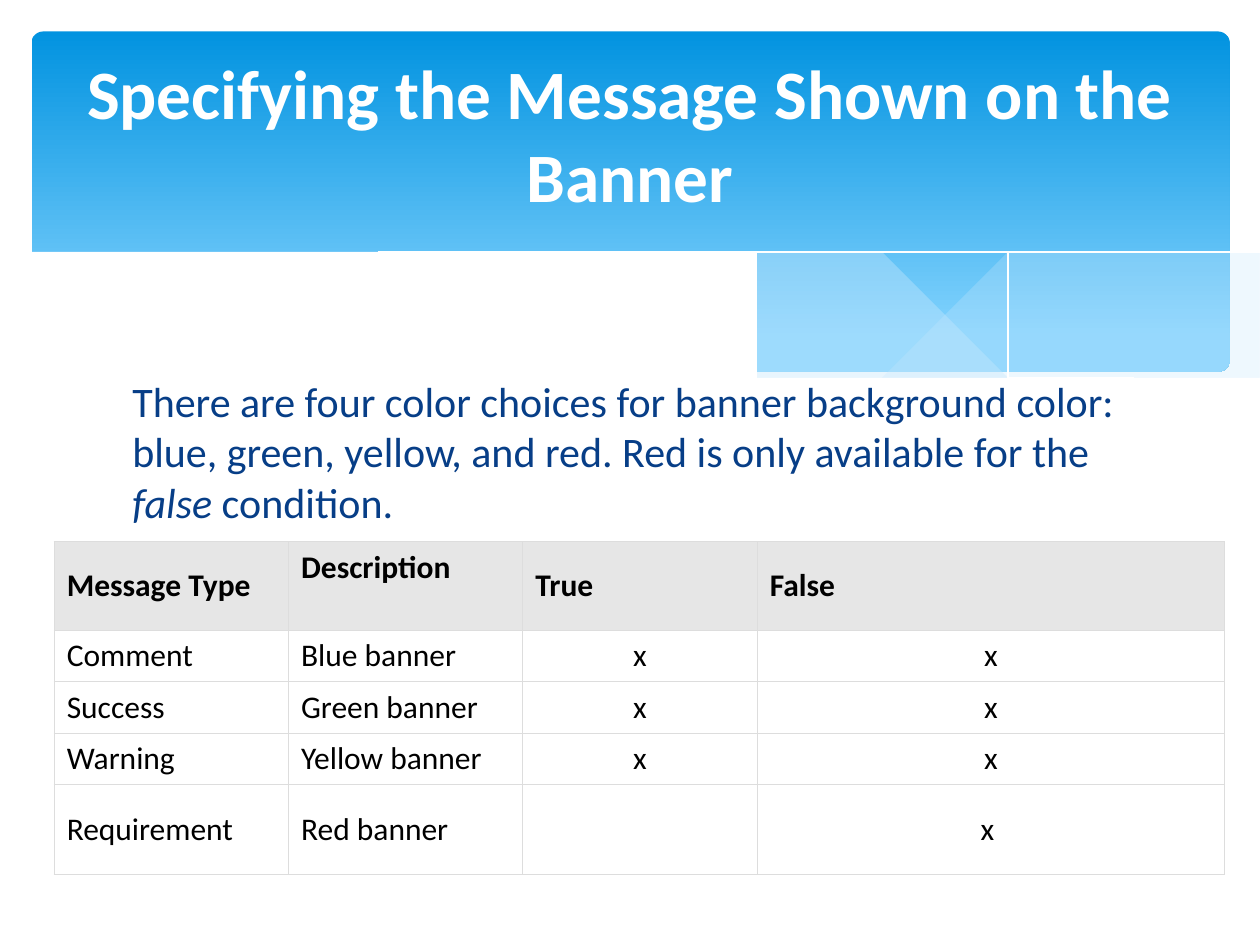
import pptx
import pptx.util
import pptx.dml.color
import pptx.enum.shapes
import pptx.enum.text
import pptx.oxml
import pptx.oxml.ns
import lxml.etree

Inches, Pt = pptx.util.Inches, pptx.util.Pt
RGB = pptx.dml.color.RGBColor.from_string
ALIGN = pptx.enum.text.PP_ALIGN
ANCHOR = pptx.enum.text.MSO_ANCHOR
qn = pptx.oxml.ns.qn

HUES = {"deep": "0293E0", "sky": "83D3FE", "mist": "C6E7FC", "white": "FFFFFF",
        "navy": "073E87", "black": "000000", "head": "E6E6E6", "rule": "DDDDDD"}
FONT = "Calibri"


def curve(knots, steps=6):
    """Return points on a smooth curve through the knots."""
    ends = [knots[0], *knots, knots[-1]]
    points = [knots[0]]
    for a, b, c, d in zip(ends, ends[1:], ends[2:], ends[3:]):
        for step in range(1, steps + 1):
            t = step / steps
            points.append(tuple(
                q + t / 2 * (r - p + t * (2 * p - 5 * q + 4 * r - s
                                          + t * (3 * q - p - 3 * r + s)))
                for p, q, r, s in zip(a, b, c, d)))
    return points


def style(run, size, hue, bold=False):
    run.font.name = FONT
    run.font.size = Pt(size)
    run.font.bold = bold
    run.font.color.rgb = RGB(HUES[hue])


deck = pptx.Presentation()
deck.slide_width, deck.slide_height = Inches(10), Inches(7.5)
slide = deck.slides.add_slide(deck.slide_layouts[1])
shapes = slide.shapes

# Blue panel
panel = shapes.add_shape(pptx.enum.shapes.MSO_SHAPE.ROUNDED_RECTANGLE,
                         Inches(0.25), Inches(0.25), Inches(9.51), Inches(2.7))
panel.adjustments[0] = 0.034
panel.shadow.inherit = False
panel.line.fill.background()
panel.fill.gradient()
panel.fill.gradient_angle = 270
for stop, place, hue in zip(panel.fill.gradient_stops, (0, 0.9), ("deep", "sky")):
    stop.position = place
    stop.color.rgb = RGB(HUES[hue])

# Waves: outline, hue, opacity in percent (None is a bare line)
right = (curve([(9.76, 2), (9.35, 2.07), (8.61, 2.23), (7.79, 2.42), (6.61, 2.65)])
         + curve([(6.61, 2.65), (7.05, 2.71), (7.57, 2.76), (8.03, 2.78), (8.54, 2.76),
                  (8.97, 2.7), (9.35, 2.62), (9.76, 2.47)]))
middle = (curve([(8.93, 2.73), (8.07, 2.6), (7.06, 2.4), (6.29, 2.22), (5.69, 2.08),
                 (5.14, 1.98), (4.65, 1.91), (4.2, 1.87), (3.8, 1.85), (3.44, 1.86),
                 (2.86, 1.91)])
          + curve([(2.86, 1.91), (3.42, 1.99), (4.04, 2.11), (4.91, 2.32), (5.66, 2.48),
                   (6.34, 2.61), (6.95, 2.7), (7.48, 2.76), (8.07, 2.78), (8.57, 2.77),
                   (8.93, 2.73)]))
fall = curve([(3.09, 1.95), (3.44, 1.9), (3.87, 1.87), (4.33, 1.87), (4.89, 1.9),
              (5.56, 1.97), (6.36, 2.08), (7.27, 2.26), (8.31, 2.51), (9.07, 2.72)])
rise = curve([(6.13, 2.57), (6.95, 2.35), (7.76, 2.16), (8.36, 2.04), (8.95, 1.94),
              (9.38, 1.88), (9.75, 1.85)])
front = curve([(9.77, 2.46), (9.4, 2.59), (8.99, 2.69), (8.5, 2.75), (8.09, 2.77),
               (7.61, 2.75), (7.08, 2.7), (6.48, 2.62), (5.79, 2.5), (5.03, 2.33),
               (4.47, 2.2), (3.91, 2.07), (3.4, 1.97), (2.92, 1.9), (2.5, 1.86),
               (2.11, 1.84), (1.77, 1.84), (1.32, 1.86), (0.95, 1.91), (0.59, 1.99),
               (0.23, 2.13)]) + [(0.23, 3.29), (9.77, 3.29)]
for points, hue, alpha in ((right, "mist", 29), (middle, "mist", 40),
                           (fall, "white", None), (rise, "white", None),
                           (front, "white", 100)):
    path = shapes.build_freeform(*points[0], scale=Inches(1))
    path.add_line_segments(points[1:], close=alpha is not None)
    wave = path.convert_to_shape()
    wave.shadow.inherit = False
    if alpha is None:
        wave.fill.background()
        wave.line.color.rgb = RGB(HUES[hue])
        wave.line.width = Pt(0)
        continue
    wave.line.fill.background()
    wave.fill.solid()
    wave.fill.fore_color.rgb = RGB(HUES[hue])
    if alpha < 100:
        tint = wave.fill._xPr.find(".//" + qn("a:srgbClr"))
        lxml.etree.SubElement(tint, qn("a:alpha")).set("val", str(alpha * 1000))

# Body and title, raised above the waves
title, body = shapes.title, slide.placeholders[1]
for holder, box in ((body, (0.95, 2.93, 8.1, 3.77)), (title, (0.5, 0.37, 9, 1.37))):
    shapes._spTree.append(holder._element)
    holder.left, holder.top, holder.width, holder.height = map(Inches, box)
    holder.text_frame.word_wrap = True
    holder.text_frame.auto_size = pptx.enum.text.MSO_AUTO_SIZE.NONE

title.text_frame.text = "Specifying the Message Shown on the Banner"
title.text_frame.vertical_anchor = ANCHOR.MIDDLE
line = title.text_frame.paragraphs[0]
line.alignment = ALIGN.CENTER
style(line.runs[0], 39.6, "white", True)

line = body.text_frame.paragraphs[0]
line.space_before = Pt(4.8)
props = line._p.get_or_add_pPr()
props.set("marL", "0")
props.set("indent", "0")
lxml.etree.SubElement(props, qn("a:buNone"))
for words in ("There are four color choices for banner background color: blue, green, "
              "yellow, and red. Red is only available for the ", "false", " condition."):
    run = line.add_run()
    run.text = words
    style(run, 24, "navy")
    run.font.italic = words == "false"

# Message table
rows = [("Message Type", "Description", "True", "False"),
        ("Comment", "Blue banner", "x", "x"),
        ("Success", "Green banner", "x", "x"),
        ("Warning", "Yellow banner", "x", "x"),
        ("Requirement", "Red banner", "", "x ")]
table = shapes.add_table(5, 4, Inches(0.43), Inches(4.3), Inches(9.29), Inches(2.64)).table
for col, width in zip(table.columns, (1.86, 1.86, 1.86, 3.71)):
    col.width = Inches(width)
for row, height in zip(table.rows, (0.7, 0.41, 0.41, 0.41, 0.71)):
    row.height = Inches(height)
for r, row in enumerate(rows):
    for c, words in enumerate(row):
        cell = table.cell(r, c)
        cell.vertical_anchor = ANCHOR.TOP if words == "Description" else ANCHOR.MIDDLE
        cell.text_frame.text = words
        line = cell.text_frame.paragraphs[0]
        line.alignment = ALIGN.CENTER if r and c > 1 else ALIGN.LEFT
        for run in line.runs:
            style(run, 18, "black", r == 0)
        props = cell._tc.get_or_add_tcPr()
        for side in ("lnL", "lnR", "lnT", "lnB"):
            edge = lxml.etree.SubElement(props, qn("a:" + side), w=str(Pt(0.6)))
            paint = lxml.etree.SubElement(edge, qn("a:solidFill"))
            lxml.etree.SubElement(paint, qn("a:srgbClr"), val=HUES["rule"])
        cell.fill.solid()
        cell.fill.fore_color.rgb = RGB(HUES["white" if r else "head"])

deck.save("out.pptx")
